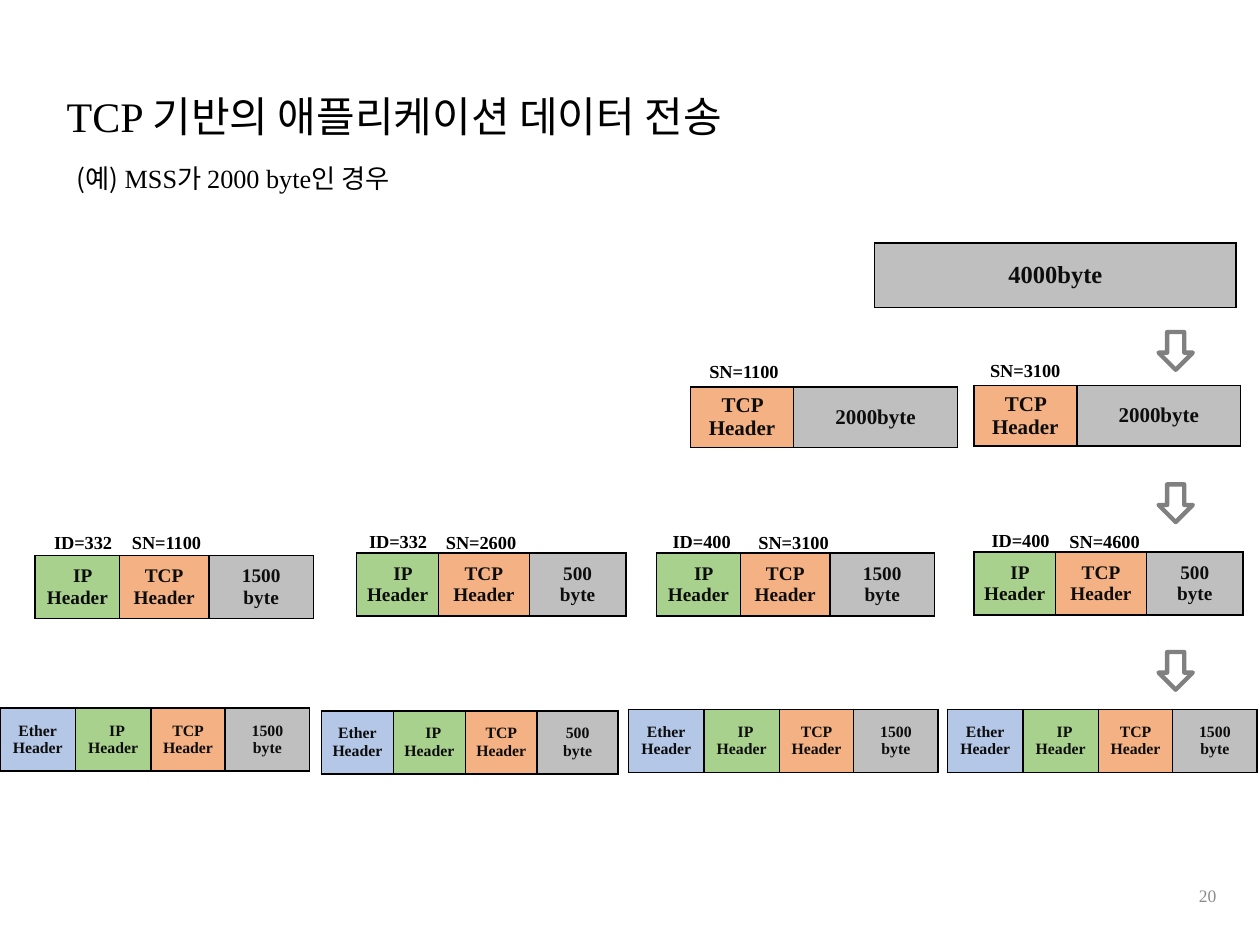
from lxml.etree import SubElement
from pptx import Presentation
from pptx.dml.color import RGBColor
from pptx.enum.shapes import MSO_SHAPE as Shape
from pptx.enum.text import MSO_ANCHOR as Anchor, PP_ALIGN as Align
from pptx.oxml.ns import qn
from pptx.util import Cm, Pt

LATIN, KOREAN = "Times New Roman", "Noto Sans CJK KR"
TITLE = [("TCP ", LATIN), ("기반의 애플리케이션 데이터 전송", KOREAN)]
EXAMPLE = [("(예) ", KOREAN), ("MSS", LATIN), ("가 ", KOREAN),
           ("2000 byte", LATIN), ("인 경우", KOREAN)]
FILLS = {"Ether": "B4C7E7", "IP": "A9D18E", "TCP": "F4B183"}
DATA_FILL = "BFBFBF"

SEGMENT = ["TCP Header", "2000byte"]
SEGMENT_WIDTHS = [2.08, 3.3]
PACKET_HEADERS = ["IP Header", "TCP\nHeader"]
PACKET_WIDTHS = {"1500": [1.7, 1.8, 2.11], "500": [1.65, 1.83, 1.95]}
FRAME_HEADERS = ["Ether\nHeader", "IP\nHeader", "TCP\nHeader"]
FRAME_WIDTHS = {"1500": [1.52, 1.52, 1.5, 1.7], "500": [1.45, 1.45, 1.45, 1.63]}

SEGMENTS = [(13.92, 7.8), (19.63, 7.77)]
PACKETS = [(0.71, 11.2, "1500"), (7.19, 11.15, "500"),
           (13.23, 11.15, "1500"), (19.63, 11.13, "500")]
FRAMES = [(0, 14.27, "1500"), (6.48, 14.33, "500"),
          (12.67, 14.3, "1500"), (19.1, 14.3, "1500")]
LABELS = [("SN=1100", 14.05, 7.14), ("SN=3100", 19.71, 7.11),
          ("ID=332", 0.84, 10.59), ("SN=1100", 2.41, 10.59),
          ("ID=332", 7.19, 10.57), ("SN=2600", 8.74, 10.59),
          ("ID=400", 13.31, 10.57), ("SN=3100", 15.04, 10.59),
          ("ID=400", 19.74, 10.54), ("SN=4600", 21.31, 10.57)]
LABEL_WIDTHS = {"ID": 1.7, "SN": 1.96}
ARROW_TOPS = [6.73, 9.8, 13.18]


def color(value):
    """Return the colour for a hex string."""
    return RGBColor.from_string(value)


def add_span(para, text, size, font=LATIN, ink="000000", bold=False):
    """Append one formatted run to a paragraph."""
    span = para.add_run()
    span.text = text
    span.font.size, span.font.bold, span.font.name = Pt(size), bold, font
    span.font.color.rgb = color(ink)
    SubElement(span.font._element, qn("a:ea"), typeface=font)


def add_text(page, spans, left, top, width, height, size, wrap=True, **style):
    """Add a text box holding one paragraph and return it."""
    box = page.shapes.add_textbox(Cm(left), Cm(top), Cm(width), Cm(height))
    box.text_frame.word_wrap = wrap
    for text, font in spans:
        add_span(box.text_frame.paragraphs[0], text, size, font, **style)
    return box


def draw_borders(cell):
    """Give a cell thin black borders on all sides."""
    props = cell._tc.get_or_add_tcPr()
    for index, side in enumerate(("a:lnL", "a:lnR", "a:lnT", "a:lnB")):
        line = props.makeelement(qn(side), {"w": str(Pt(1))})
        fill = SubElement(line, qn("a:solidFill"))
        SubElement(fill, qn("a:srgbClr"), val="000000")
        props.insert(index, line)


def add_packet(page, parts, widths, left, top, height, size):
    """Add a one-row table showing the parts of a data unit."""
    frame = page.shapes.add_table(1, len(parts), Cm(left), Cm(top),
                                  Cm(sum(widths)), Cm(height))
    table = frame.table
    table.first_row = table.horz_banding = False
    for index, (part, width) in enumerate(zip(parts, widths)):
        table.columns[index].width = Cm(width)
        cell = table.cell(0, index)
        cell.vertical_anchor = Anchor.MIDDLE
        cell.margin_left = cell.margin_right = Cm(0.18)
        cell.margin_top = cell.margin_bottom = Cm(0.1)
        cell.fill.solid()
        cell.fill.fore_color.rgb = color(FILLS.get(part.split()[0], DATA_FILL))
        draw_borders(cell)
        for number, line in enumerate(part.split("\n")):
            body = cell.text_frame
            para = body.add_paragraph() if number else body.paragraphs[0]
            para.alignment = Align.CENTER
            if line.startswith("IP"):
                para._p.get_or_add_pPr().set("indent", str(Pt(size / 2)))
            add_span(para, line, size, ink="0D0D0D", bold=True)


def add_arrow(page, top):
    """Add an outlined arrow pointing down to the next layer."""
    arrow = page.shapes.add_shape(Shape.RIGHT_ARROW, Cm(23.32), Cm(top),
                                  Cm(0.76), Cm(0.69))
    arrow.rotation = 90
    arrow.shadow.inherit = False
    arrow.fill.background()
    arrow.line.color.rgb = color("808080")
    arrow.line.width = Pt(2.5)


def add_title(page):
    """Place and format the title placeholder."""
    title = page.shapes.title
    title.left, title.top, title.width, title.height = map(Cm, (1.09, 1.7, 14.88, 2.31))
    title.text_frame.vertical_anchor = Anchor.TOP
    title.text_frame.word_wrap = True
    para = title.text_frame.paragraphs[0]
    para.alignment = Align.LEFT
    for text, font in TITLE:
        add_span(para, text, 24, font)


def main():
    """Build the slide and save the deck."""
    deck = Presentation()
    deck.slide_width, deck.slide_height = Cm(25.4), Cm(19.05)
    page = deck.slides.add_slide(deck.slide_layouts[5])
    add_title(page)
    add_text(page, EXAMPLE, 1.3, 3.15, 7.24, 0.89, 15)
    add_packet(page, ["4000byte"], [7.29], 17.63, 4.9, 1.3, 14)
    for left, top in SEGMENTS:
        add_packet(page, SEGMENT, SEGMENT_WIDTHS, left, top, 1.2, 12)
    for units, headers, widths, size in (
            (PACKETS, PACKET_HEADERS, PACKET_WIDTHS, 11),
            (FRAMES, FRAME_HEADERS, FRAME_WIDTHS, 9)):
        for left, top, count in units:
            add_packet(page, headers + [f"{count}\nbyte"], widths[count],
                       left, top, 1.27, size)
    for text, left, top in LABELS:
        add_text(page, [(text, LATIN)], left, top, LABEL_WIDTHS[text[:2]], 0.71,
                 10.5, wrap=False, bold=True)
    for top in ARROW_TOPS:
        add_arrow(page, top)
    number = add_text(page, [("20", LATIN)], 19.05, 17.55, 5.72, 1.02, 10, ink="8C8C8C")
    number.text_frame.vertical_anchor = Anchor.MIDDLE
    number.text_frame.paragraphs[0].alignment = Align.RIGHT
    deck.save("out.pptx")


if __name__ == "__main__":
    main()
